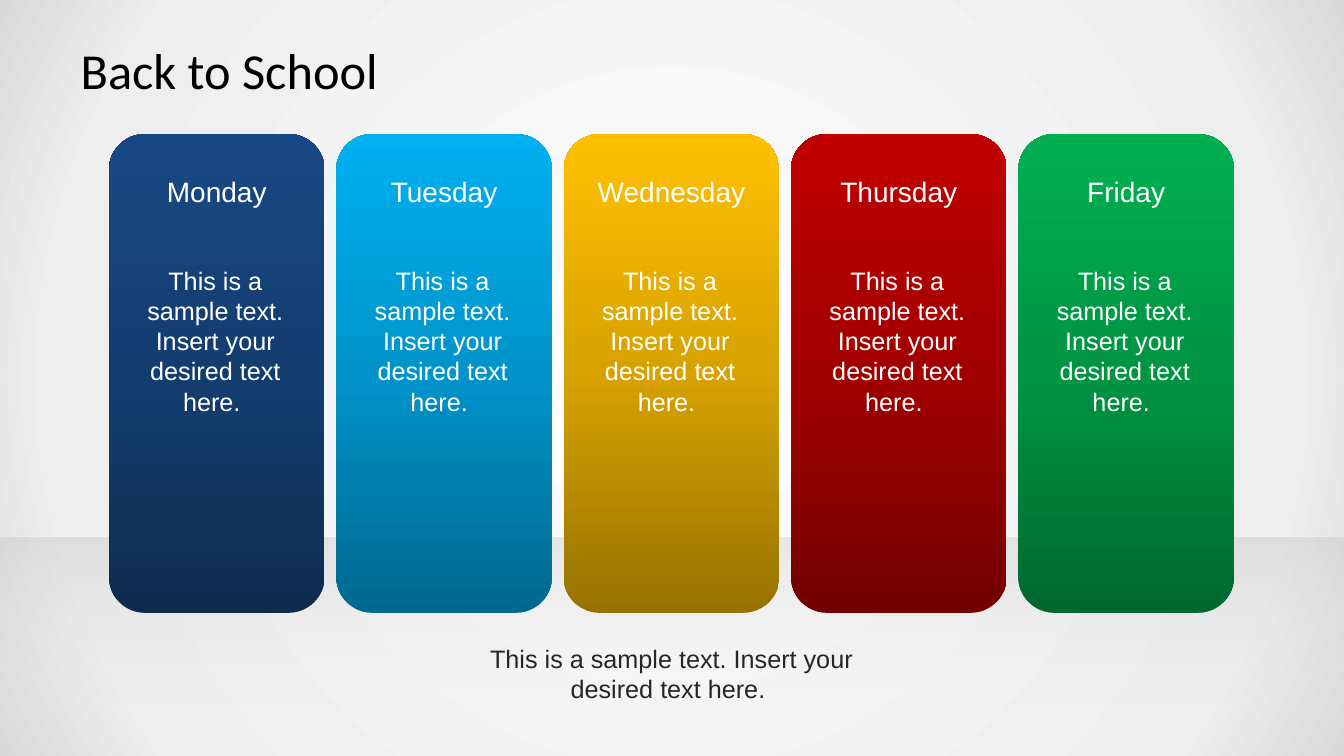
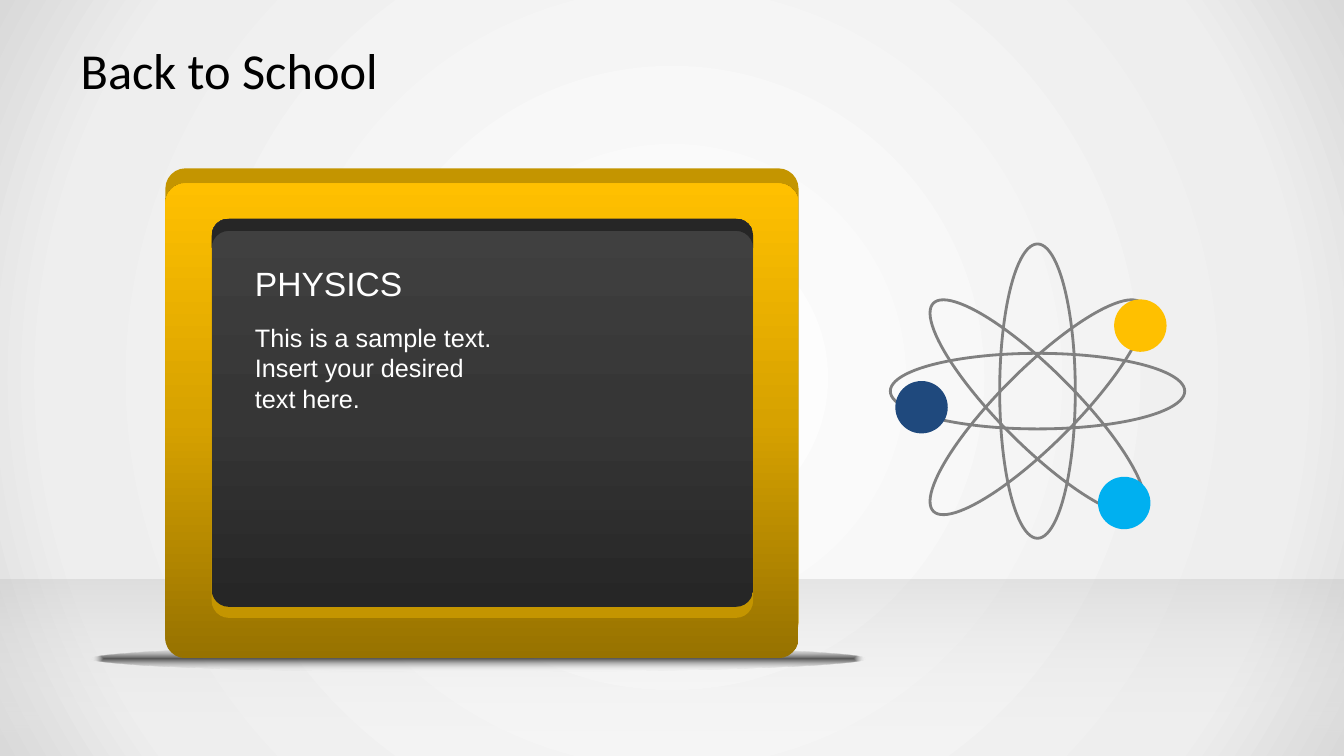
from math import cos, radians, sin

from lxml import etree
from pptx import Presentation
from pptx.dml.color import RGBColor
from pptx.enum.shapes import MSO_SHAPE
from pptx.enum.text import MSO_ANCHOR, MSO_AUTO_SIZE, PP_ALIGN
from pptx.oxml.ns import qn
from pptx.util import Inches, Pt

RECTANGLE = MSO_SHAPE.RECTANGLE
ROUNDED = MSO_SHAPE.ROUNDED_RECTANGLE
OVAL = MSO_SHAPE.OVAL
LEFT, CENTER = PP_ALIGN.LEFT, PP_ALIGN.CENTER
TOP, MIDDLE = MSO_ANCHOR.TOP, MSO_ANCHOR.MIDDLE
GROW = MSO_AUTO_SIZE.SHAPE_TO_FIT_TEXT

BLACK = RGBColor(0x00, 0x00, 0x00)
INK = RGBColor(0x0D, 0x0D, 0x0D)
CHARCOAL = RGBColor(0x26, 0x26, 0x26)
SLATE = RGBColor(0x36, 0x36, 0x36)
DARK_GRAY = RGBColor(0x40, 0x40, 0x40)
GRAY = RGBColor(0x80, 0x80, 0x80)
FLOOR_GRAY = RGBColor(0xB7, 0xB7, 0xB7)
SILVER = RGBColor(0xD9, 0xD9, 0xD9)
PALE_GRAY = RGBColor(0xEE, 0xEE, 0xEE)
WHITE = RGBColor(0xFF, 0xFF, 0xFF)
NAVY = RGBColor(0x1F, 0x49, 0x7D)
SKY = RGBColor(0x00, 0xB0, 0xF0)
GOLD = RGBColor(0xFF, 0xC0, 0x00)
GOLD_EDGE = RGBColor(0xC4, 0x95, 0x00)

# Gradient colours from the bottom of a shape to its top
NAVY_BLEND = (RGBColor(0x0E, 0x2B, 0x4E), RGBColor(0x14, 0x3D, 0x6F), RGBColor(0x18, 0x48, 0x84))
SKY_BLEND = (RGBColor(0x00, 0x68, 0x8E), RGBColor(0x00, 0x94, 0xCA), SKY)
GOLD_BLEND = (RGBColor(0x97, 0x72, 0x00), RGBColor(0xD7, 0xA2, 0x00), GOLD)
RED_BLEND = (RGBColor(0x72, 0x00, 0x00), RGBColor(0xA2, 0x00, 0x00), RGBColor(0xC0, 0x00, 0x00))
GREEN_BLEND = (RGBColor(0x00, 0x68, 0x2F), RGBColor(0x00, 0x94, 0x43), RGBColor(0x00, 0xB0, 0x50))
BOARD_BLEND = (CHARCOAL, SLATE, DARK_GRAY)

TITLE_FONT, BODY_FONT = "Calibri", "Arial"
TITLE = "Back to School"
SAMPLE = "This is a sample text. Insert your desired text here."
SAMPLE_CENTERED = SAMPLE + " "


def write_text(frame, text, size=18, font=BODY_FONT, color=WHITE, align=LEFT,
               anchor=TOP, margins=(0.1, 0.05, 0.1, 0.05)):
    frame.word_wrap = True
    frame.vertical_anchor = anchor
    (frame.margin_left, frame.margin_top,
     frame.margin_right, frame.margin_bottom) = map(Inches, margins)
    para = frame.paragraphs[0]
    para.alignment = align
    span = para.add_run()
    span.text = text
    span.font.name = font
    span.font.size = Pt(size)
    span.font.color.rgb = color


def paint_gradient(owner, fill, stops, angle=None, form="circle"):
    """Fill with (percent, colour, opacity) stops, from the centre if no angle is given."""
    fill.solid()
    solid = next(owner.element.iter(qn("a:solidFill")))
    gradient = etree.Element(qn("a:gradFill"), rotWithShape="1")
    stop_list = etree.SubElement(gradient, qn("a:gsLst"))
    for percent, color, opacity in stops:
        stop = etree.SubElement(stop_list, qn("a:gs"), pos=str(percent * 1000))
        tint = etree.SubElement(stop, qn("a:srgbClr"), val=str(color))
        if opacity < 100:
            etree.SubElement(tint, qn("a:alpha"), val=str(opacity * 1000))
    if angle is None:
        center = etree.SubElement(gradient, qn("a:path"), path=form)
        etree.SubElement(center, qn("a:fillToRect"),
                         {side: "50000" for side in "ltrb"})
    else:
        etree.SubElement(gradient, qn("a:lin"), ang=str(angle * 60000), scaled="0")
    solid.getparent().replace(solid, gradient)


def paint_blend(shape, blend):
    paint_gradient(shape, shape.fill,
                   [(percent, color, 100) for percent, color in zip((0, 50, 100), blend)],
                   angle=270)


class SchoolDeck:
    def __init__(self):
        self.deck = Presentation()
        self.deck.slide_width = Inches(13.33)
        self.deck.slide_height = Inches(7.5)
        master = self.deck.slide_master
        paint_gradient(master, master.background.fill,
                       [(0, WHITE, 100), (81, PALE_GRAY, 100), (100, SILVER, 100)])
        self.page = self.shapes = None

    def add_page(self, title, floor_top):
        self.page = self.deck.slides.add_slide(self.deck.slide_layouts[5])
        self.shapes = self.page.shapes
        heading = self.page.shapes.title
        heading.left, heading.top = Inches(0.67), Inches(0.3)
        heading.width, heading.height = Inches(12), Inches(0.78)
        write_text(heading.text_frame, title, size=36, font=TITLE_FONT, color=BLACK,
                   anchor=MIDDLE, margins=(0.13, 0.07, 0.13, 0.07))
        floor = self.shape(RECTANGLE, 0, floor_top, 13.33, 7.5 - floor_top)
        paint_gradient(floor, floor.fill,
                       [(0, FLOOR_GRAY, 29), (100, WHITE, 0)], angle=90)

    def start_group(self):
        self.shapes = self.page.shapes.add_group_shape().shapes

    def end_group(self):
        self.shapes = self.page.shapes

    def finish(self, shape, color=None, blend=None):
        shape.shadow.inherit = False
        shape.line.fill.background()
        if blend:
            paint_blend(shape, blend)
        elif color is None:
            shape.fill.background()
        else:
            shape.fill.solid()
            shape.fill.fore_color.rgb = color
        return shape

    def shape(self, kind, left, top, width, height, color=None, blend=None, radius=None):
        shape = self.shapes.add_shape(kind, Inches(left), Inches(top),
                                      Inches(width), Inches(height))
        if radius:
            shape.adjustments[0] = radius / min(width, height)
        return self.finish(shape, color, blend)

    def text(self, text, left, top, width, height, **style):
        box = self.shapes.add_textbox(Inches(left), Inches(top),
                                      Inches(width), Inches(height))
        write_text(box.text_frame, text, **style)
        box.text_frame.auto_size = GROW

    def lip(self, left, top, width, radius, depth, color):
        """Draw the band between a rounded top edge and the same edge moved down."""
        corners = ((left + radius, range(180, 271, 15)),
                   (left + width - radius, range(270, 361, 15)))
        edge = [(x + radius * cos(radians(angle)), top + radius + radius * sin(radians(angle)))
                for x, angles in corners for angle in angles]
        lower = [(x, y + depth) for x, y in reversed(edge)]
        points = [(Inches(x), Inches(y)) for x, y in edge + lower]
        builder = self.shapes.build_freeform(*points[0])
        builder.add_line_segments(points[1:], close=True)
        self.finish(builder.convert_to_shape(), color)

    def orbit(self, center_x, center_y, rotation):
        width, height = 0.75, 2.92
        ring = self.shape(OVAL, center_x - width / 2, center_y - height / 2, width, height)
        ring.line.color.rgb = GRAY
        ring.line.width = Pt(2)
        ring.rotation = rotation

    def save(self):
        self.deck.save("out.pptx")


def add_week(school):
    school.add_page(TITLE, floor_top=5.33)
    days = (("Monday", NAVY_BLEND), ("Tuesday", SKY_BLEND), ("Wednesday", GOLD_BLEND),
            ("Thursday", RED_BLEND), ("Friday", GREEN_BLEND))
    card_left, card_width, card_gap = 1.08, 2.14, 0.115
    school.start_group()
    for index, (day, blend) in enumerate(days):
        left = card_left + index * (card_width + card_gap)
        card = school.shape(ROUNDED, left, 1.33, card_width, 4.75, blend=blend)
        write_text(card.text_frame, day, size=20, align=CENTER,
                   margins=(0.1, 0.3, 0.1, 0.05))
        school.text(SAMPLE_CENTERED, left + 0.16, 2.58, 1.79, 1.62, align=CENTER)
    school.end_group()
    school.text(SAMPLE_CENTERED, 4.37, 6.33, 4.58, 0.71, color=CHARCOAL, align=CENTER)


def add_physics(school):
    school.add_page(TITLE, floor_top=5.75)
    shade = school.shape(OVAL, 0.91, 6.41, 7.67, 0.25)
    paint_gradient(shade, shade.fill, [(0, INK, 68), (100, WHITE, 0)], form="shape")

    school.start_group()
    school.shape(ROUNDED, 1.64, 1.67, 6.28, 4.71, GOLD_EDGE, radius=0.2)
    school.shape(ROUNDED, 1.64, 1.82, 6.28, 4.71, blend=GOLD_BLEND, radius=0.2)
    school.shape(ROUNDED, 2.1, 2.23, 5.37, 3.9, GOLD_EDGE, radius=0.17)
    school.shape(ROUNDED, 2.1, 2.17, 5.37, 3.85, blend=BOARD_BLEND, radius=0.17)
    school.lip(2.1, 2.17, 5.37, radius=0.17, depth=0.12, color=CHARCOAL)
    school.end_group()
    school.text("PHYSICS", 2.43, 2.56, 4.65, 0.5, size=24)
    school.text(SAMPLE, 2.43, 3.15, 2.71, 1.01)

    school.start_group()
    for center_y, rotation in ((3.88, 0), (3.88, 90), (4.04, 45), (4.04, 135)):
        school.orbit(10.29, center_y, rotation)
    for left, top, color in ((11.05, 2.97, GOLD), (10.89, 4.73, SKY), (8.88, 3.78, NAVY)):
        school.shape(OVAL, left, top, 0.52, 0.52, color)
    school.end_group()


def main():
    school = SchoolDeck()
    add_week(school)
    add_physics(school)
    school.save()


if __name__ == "__main__":
    main()
